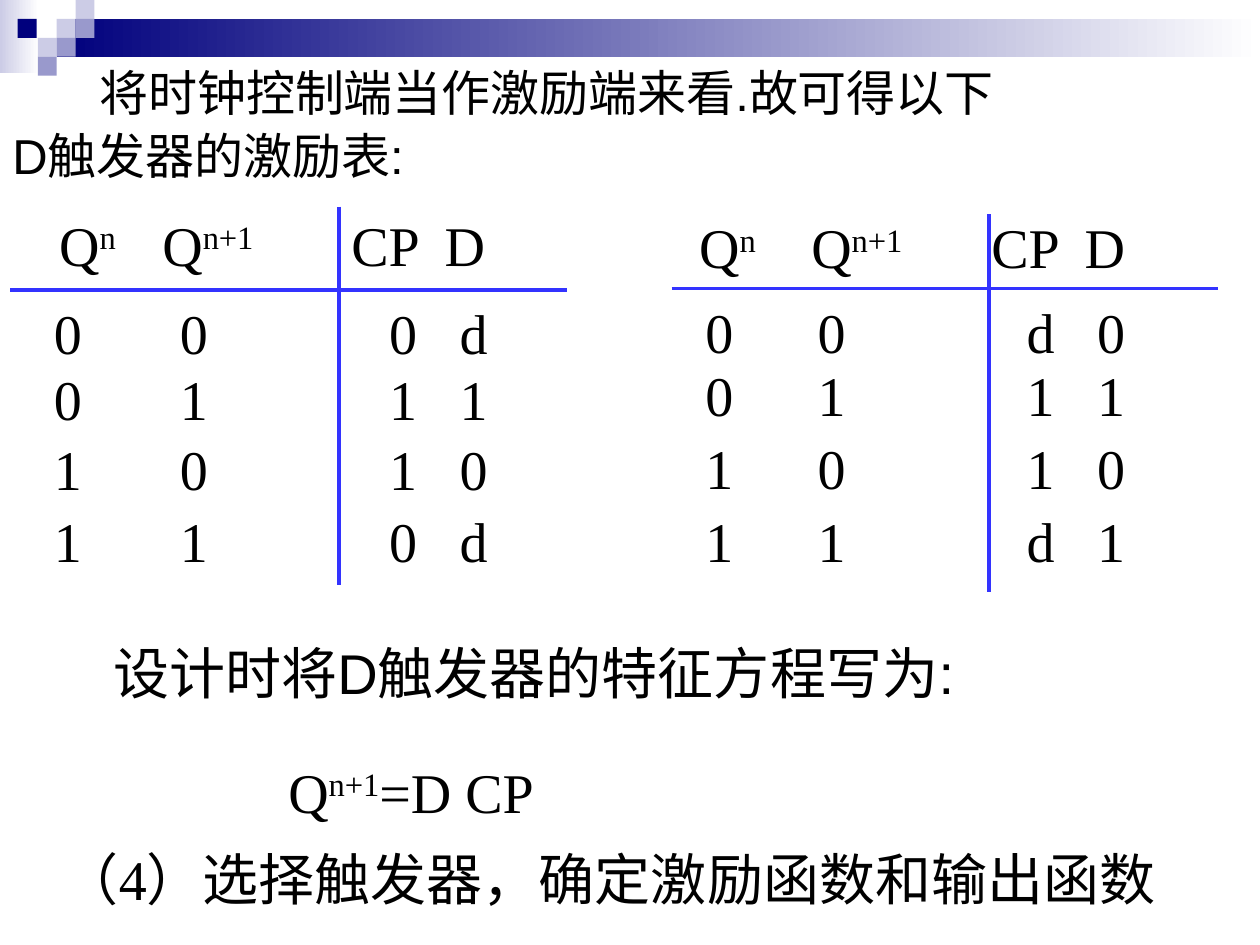
import pptx
import pptx.util
import pptx.dml.color
import pptx.enum.shapes
import pptx.enum.text
import pptx.oxml.ns
import lxml.etree

Inches = pptx.util.Inches
Pt = pptx.util.Pt
qn = pptx.oxml.ns.qn

COLORS = {
    "navy": "00007D",
    "mid": "9999CC",
    "pale": "CCCCE6",
    "white": "FFFFFF",
    "rule": "3333FF",
    "text": "000000",
}


def color(name):
    return pptx.dml.color.RGBColor.from_string(COLORS[name])


class Deck:
    """Holds the style and the current slide."""

    sans = "Arial"
    serif = "Times New Roman"

    def __init__(self, wide, high):
        self.file = pptx.Presentation()
        self.file.slide_width = Inches(wide)
        self.file.slide_height = Inches(high)
        self.slide = self.file.slides.add_slide(self.file.slide_layouts[6])

    def block(self, x, y, w, h, tone, fade=False):
        """A plain rectangle, or one that fades to white on the right."""
        kind = pptx.enum.shapes.MSO_SHAPE.RECTANGLE
        box = self.slide.shapes.add_shape(kind, Inches(x), Inches(y), Inches(w), Inches(h))
        box.shadow.inherit = False
        box.line.fill.background()
        if fade:
            box.fill.gradient()
            box.fill.gradient_angle = 180
            for stop, name in zip(box.fill.gradient_stops, ("white", tone)):
                stop.color.rgb = color(name)
        else:
            box.fill.solid()
            box.fill.fore_color.rgb = color(tone)

    def rule(self, x1, y1, x2, y2):
        """A straight table rule."""
        kind = pptx.enum.shapes.MSO_CONNECTOR.STRAIGHT
        line = self.slide.shapes.add_connector(kind, Inches(x1), Inches(y1), Inches(x2), Inches(y2))
        line.line.color.rgb = color("rule")
        line.line.width = Pt(2.25)
        lxml.etree.SubElement(line._element.spPr, qn("a:effectLst"))

    def text(self, x, y, w, h, lines, font=serif, size=32, tabs=(), indent=0, lead=None):
        """Lines of text; parts between bars are superscript."""
        frame = self.slide.shapes.add_textbox(Inches(x), Inches(y), Inches(w), Inches(h)).text_frame
        frame.word_wrap = True
        for num, line in enumerate(lines):
            para = frame.add_paragraph() if num else frame.paragraphs[0]
            props = para._p.get_or_add_pPr()
            if tabs:
                stops = lxml.etree.SubElement(props, qn("a:tabLst"))
                for pos in tabs:
                    lxml.etree.SubElement(stops, qn("a:tab"), pos=str(Inches(pos)), algn="l")
            if indent and not num:
                props.set("indent", str(Inches(indent)))
            if lead:
                para.line_spacing = lead
            if num:
                para.space_before = Pt(6)
            for part, words in enumerate(line.split("|")):
                run = para.add_run()
                run.text = words
                run.font.name = font
                run.font.size = Pt(size)
                run.font.color.rgb = color("text")
                if part % 2:
                    run.font._element.set("baseline", "30000")

    def table(self, head, cols, left, tops, rows):
        """Excitation table: a header line, then one line per state."""
        x, y, tabs = head
        self.text(x, y, 3.61, 0.64, ["Q|n|\tQ|n+1|\tCP\tD"], tabs=tabs)
        for top, row in zip(tops, rows):
            self.text(left, top, 3.65, 0.64, ["\t".join(row)], tabs=cols)


def main():
    deck = Deck(10, 7.5)

    # Banner with its mosaic of squares
    deck.block(0, 0, 0.31, 0.58, "pale", fade=True)
    deck.block(0.45, 0.15, 9.55, 0.3, "navy", fade=True)
    side = 0.15
    for x, y, tone in [(0.45, 0.15, "pale"), (0.6, 0, "pale"), (0.6, 0.15, "mid"),
                       (0.3, 0.3, "pale"), (0.14, 0.15, "navy"),
                       (0.45, 0.3, "mid"), (0.3, 0.45, "mid")]:
        deck.block(x, y, side, side, tone)

    # Opening statement
    deck.text(0, 0.5, 8.3, 1.03, ["将时钟控制端当作激励端来看.故可得以下", "D触发器的激励表:"],
              font=deck.sans, size=28, indent=0.69, lead=0.9)

    # Left excitation table
    deck.rule(0.08, 2.3, 4.5, 2.3)
    deck.rule(2.69, 1.64, 2.69, 4.64)
    deck.table((0.37, 1.62, (0.82, 2.32, 3.06)), (1, 2.66, 3.22), 0.33,
               (2.32, 2.84, 3.4, 3.97), ("000d", "0111", "1010", "110d"))

    # Right excitation table
    deck.rule(5.33, 2.29, 9.67, 2.29)
    deck.rule(7.85, 1.7, 7.85, 4.7)
    deck.table((5.45, 1.64, (0.89, 2.32, 3.06)), (0.89, 2.55, 3.11), 5.5,
               (2.31, 2.81, 3.39, 3.97), ("00d0", "0111", "1010", "11d1"))

    # Characteristic equation and next step
    deck.text(0.8, 5.02, 7.3, 0.64, ["设计时将D触发器的特征方程写为:"], font=deck.sans)
    deck.text(1.86, 5.96, 2.6, 0.64, ["Q|n+1|=D CP"], indent=0.33)
    deck.text(0.4, 6.65, 9.3, 0.64, ["（4）选择触发器，确定激励函数和输出函数"])

    deck.file.save("out.pptx")


if __name__ == "__main__":
    main()
